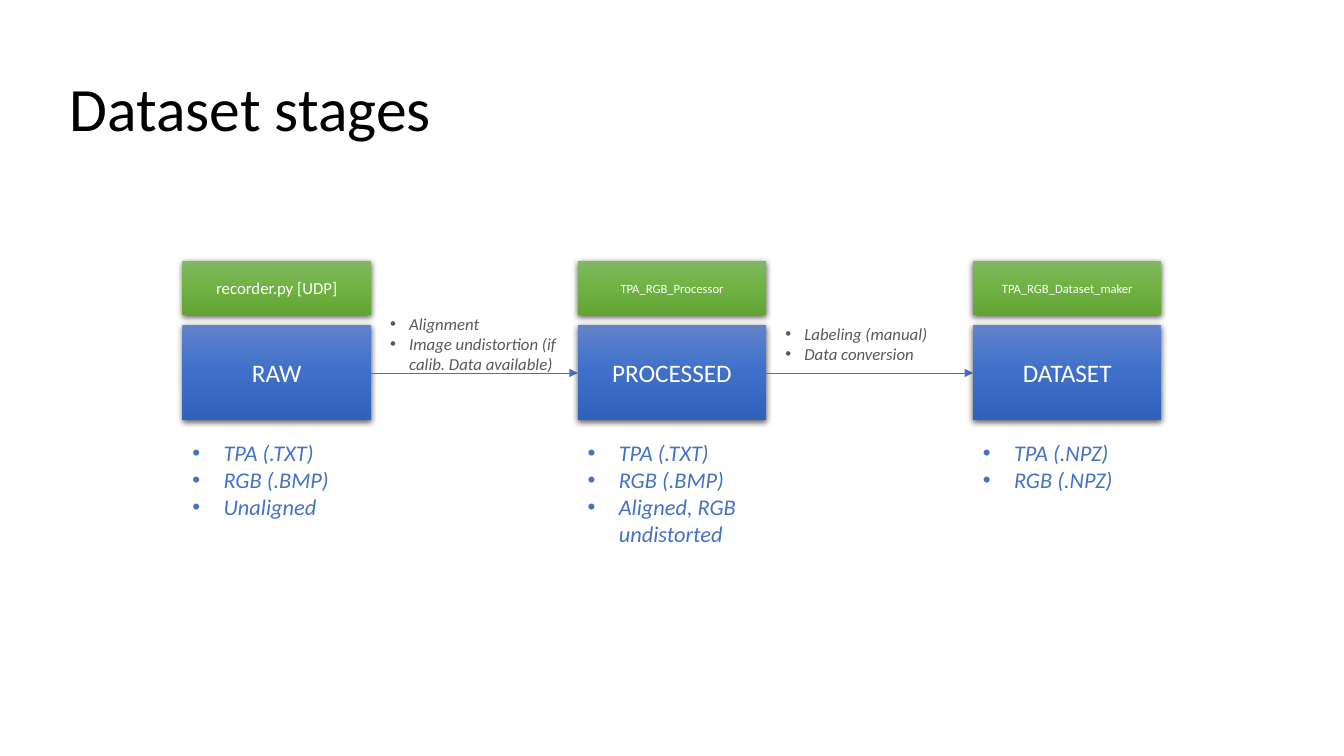
from copy import deepcopy

from lxml.etree import SubElement
from pptx import Presentation
from pptx.dml.color import RGBColor
from pptx.enum.shapes import MSO_CONNECTOR, MSO_SHAPE
from pptx.enum.text import MSO_ANCHOR, PP_ALIGN
from pptx.oxml.ns import qn
from pptx.util import Inches, Pt

BLACK = RGBColor(0x00, 0x00, 0x00)
WHITE = RGBColor(0xFF, 0xFF, 0xFF)
GREY = RGBColor(0x59, 0x59, 0x59)
BLUE = RGBColor(0x44, 0x72, 0xC4)
BLUES = [RGBColor(0x61, 0x83, 0xCB), RGBColor(0x3E, 0x70, 0xCA), RGBColor(0x30, 0x62, 0xBB)]
GREENS = [RGBColor(0x81, 0xB8, 0x61), RGBColor(0x6F, 0xB2, 0x42), RGBColor(0x62, 0xA3, 0x36)]
FONT = "Calibri"

LEFT, STEP, WIDTH = 1.81, 3.92, 1.87
TOOL_TOP, TOOL_H = 2.59, 0.54
STAGE_TOP, STAGE_H = 3.22, 0.95
NOTE_TOP, LIST_TOP, LIST_H = 3.14, 4.31, 2.47
ARROW_Y = 3.7

# tool, tool text size, stage, files, steps towards the next stage
STAGES = [
    ("recorder.py [UDP]", 12, "RAW", ["TPA (.TXT)", "RGB (.BMP)", "Unaligned"],
     ["Alignment", "Image undistortion (if calib. Data available)"]),
    ("TPA_RGB_Processor", 9, "PROCESSED",
     ["TPA (.TXT)", "RGB (.BMP)", "Aligned, RGB undistorted"],
     ["Labeling (manual)", "Data conversion"]),
    ("TPA_RGB_Dataset_maker", 9, "DATASET", ["TPA (.NPZ)", "RGB (.NPZ)"], []),
]

prs = Presentation()
prs.slide_width, prs.slide_height = Inches(13.33), Inches(7.5)
slide = prs.slides.add_slide(prs.slide_layouts[5])


def add_box(x, y, h, text, size, colors):
    """Draw a shadowed rectangle with a vertical three-stop gradient."""
    s = slide.shapes.add_shape(MSO_SHAPE.RECTANGLE, Inches(x), Inches(y), Inches(WIDTH), Inches(h))
    s.line.fill.background()
    s.fill.gradient()
    s.fill.gradient_angle = 270
    stops = s._element.spPr.find(qn("a:gradFill")).find(qn("a:gsLst"))
    stops.append(deepcopy(stops[-1]))
    for stop, position, color in zip(s.fill.gradient_stops, (0, 0.5, 1), colors):
        stop.position = position
        stop.color.rgb = color
    s.shadow.inherit = False
    shadow = SubElement(s._element.spPr.find(qn("a:effectLst")), qn("a:outerShdw"),
                        blurRad=str(Pt(4.5)), dist=str(Pt(1.5)), dir="5400000",
                        algn="ctr", rotWithShape="0")
    black = SubElement(shadow, qn("a:srgbClr"), val=str(BLACK))
    SubElement(black, qn("a:alpha"), val="63000")
    tf = s.text_frame
    tf.vertical_anchor = MSO_ANCHOR.MIDDLE
    p = tf.paragraphs[0]
    p.alignment = PP_ALIGN.CENTER
    r = p.add_run()
    r.text = text
    r.font.name, r.font.size = FONT, Pt(size)
    r.font.color.rgb = WHITE


def add_bullets(x, y, h, items, size, color, indent, anchor):
    s = slide.shapes.add_textbox(Inches(x), Inches(y), Inches(WIDTH), Inches(h))
    tf = s.text_frame
    tf.word_wrap = True
    tf.vertical_anchor = anchor
    for i, item in enumerate(items):
        p = tf.add_paragraph() if i else tf.paragraphs[0]
        pPr = p._p.get_or_add_pPr()
        pPr.set("marL", str(Inches(indent)))
        pPr.set("indent", str(-Inches(indent)))
        SubElement(pPr, qn("a:buFont"), typeface="Arial")
        SubElement(pPr, qn("a:buChar"), char="•")
        r = p.add_run()
        r.text = item
        r.font.name, r.font.size, r.font.italic = FONT, Pt(size), True
        r.font.color.rgb = color


title = slide.shapes.title
title.left, title.top = Inches(0.59), Inches(0.38)
title.width, title.height = Inches(11.5), Inches(1.45)
tf = title.text_frame
tf.vertical_anchor = MSO_ANCHOR.MIDDLE
p = tf.paragraphs[0]
p.alignment = PP_ALIGN.LEFT
p.line_spacing = 0.9
r = p.add_run()
r.text = "Dataset stages"
r.font.name, r.font.size = FONT, Pt(44)
r.font.color.rgb = BLACK

for col, (tool, tool_size, stage, files, steps) in enumerate(STAGES):
    x = LEFT + col * STEP
    add_box(x, STAGE_TOP, STAGE_H, stage, 18, BLUES)
    add_box(x, TOOL_TOP, TOOL_H, tool, tool_size, GREENS)
    add_bullets(x, LIST_TOP, LIST_H, files, 16, BLUE, 0.31, MSO_ANCHOR.TOP)
    if steps:
        arrow = slide.shapes.add_connector(MSO_CONNECTOR.STRAIGHT, Inches(x + WIDTH),
                                           Inches(ARROW_Y), Inches(x + STEP), Inches(ARROW_Y))
        arrow.line.color.rgb = BLUE
        arrow.line.width = Pt(0.5)
        SubElement(arrow.line._get_or_add_ln(), qn("a:tailEnd"), type="triangle")
        SubElement(arrow._element.spPr, qn("a:effectLst"))
        add_bullets(x + STEP / 2, NOTE_TOP, TOOL_H, steps, 12, GREY, 0.19, MSO_ANCHOR.MIDDLE)

prs.save("out.pptx")
